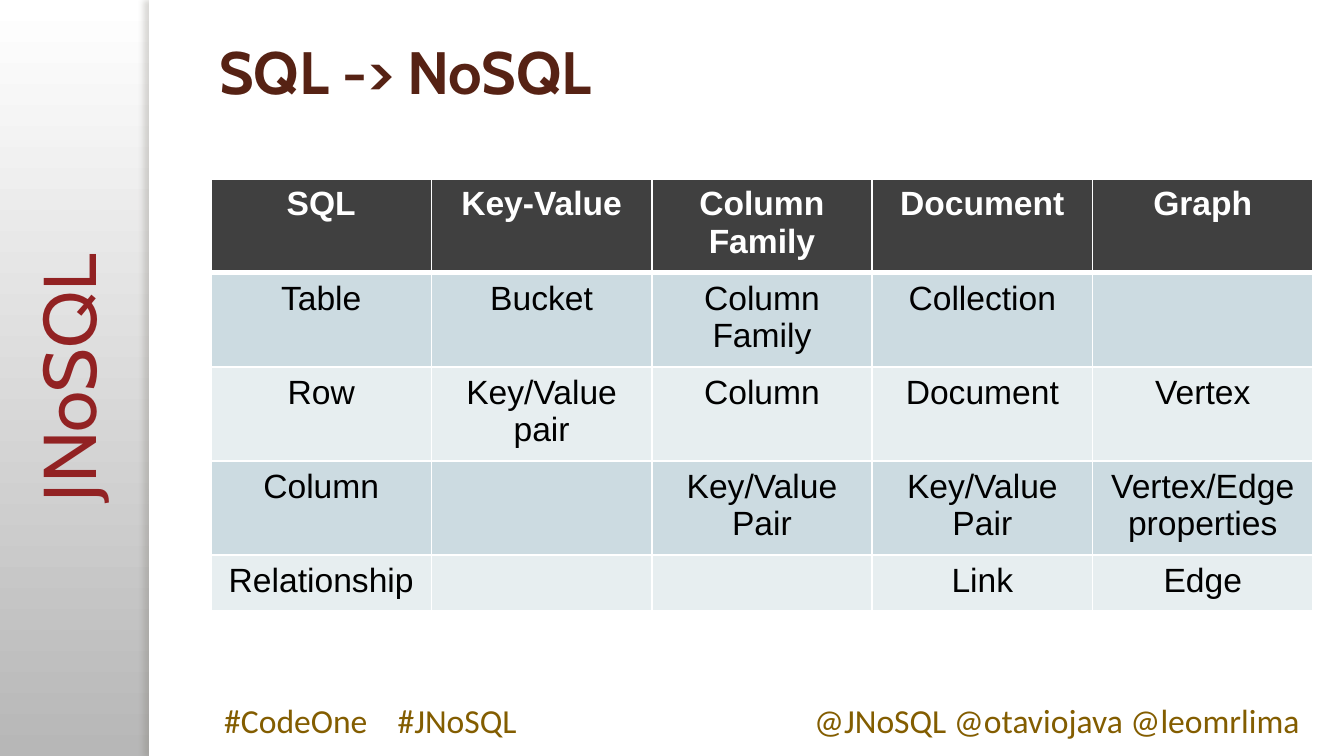
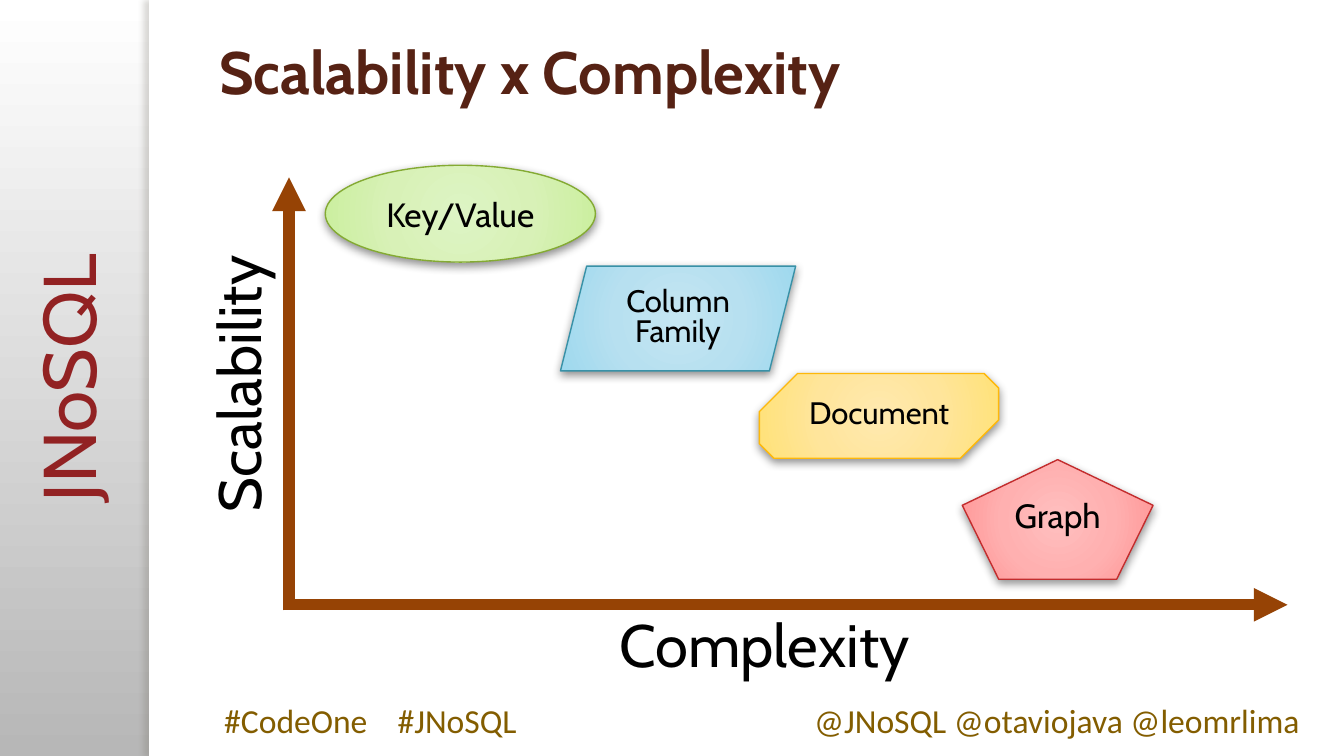
from dataclasses import dataclass

from lxml.etree import SubElement
from pptx import Presentation
from pptx.dml.color import RGBColor
from pptx.enum.shapes import MSO_CONNECTOR, MSO_SHAPE
from pptx.enum.text import MSO_ANCHOR, PP_ALIGN
from pptx.oxml import parse_xml
from pptx.oxml.ns import nsdecls, qn
from pptx.util import Inches, Pt


@dataclass(frozen=True)
class Theme:
    heading: str = "Cabin"
    footer: str = "Calibri"
    table: str = "Arial"
    white: str = "FFFFFF"
    black: str = "000000"
    backdrop_end: str = "B7B7B7"
    band_shadow: str = "6F6A5F"
    brand: str = "922223"
    footer_ink: str = "835D00"
    title_ink: str = "562214"
    axis: str = "964305"
    header_fill: str = "404040"
    stripes: tuple = ("CCDBE1", "E7EEF0")
    brand_size: float = 40
    title_size: float = 32
    body_size: float = 18
    small_size: float = 16.6


THEME = Theme()

WIDTH, HEIGHT = 10, 10 * 9 / 16
BAND = 1.11
LEFT, CONTENT_WIDTH = 1.57, 8.2
FOOTER_TOP, FOOTER_HEIGHT = 5.16, 0.4

BRAND = "JNoSQL"
HASHTAGS = ("#CodeOne", "#JNoSQL")
HASHTAG_STEP = 1.29
HANDLES = ("@JNoSQL", "@otaviojava", "@leomrlima")

MAPPING_TITLE = "SQL -> NoSQL"
MAPPING = [
    ("SQL", "Key-Value", "Column Family", "Document", "Graph"),
    ("Table", "Bucket", "Column Family", "Collection", ""),
    ("Row", "Key/Value pair", "Column", "Document", "Vertex"),
    ("Column", "", "Key/Value Pair", "Key/Value Pair", "Vertex/Edge properties"),
    ("Relationship", "", "", "Link", "Edge"),
]
MAPPING_TOP, MAPPING_HEIGHT, ROW_HEIGHT = 1.33, 3.21, 0.41

TRADEOFF_TITLE = "Scalability x Complexity"
ORIGIN = (2.15, 4.5)
SCALABILITY_END, COMPLEXITY_END = 1.32, 9.58
AXIS_POINTS = 6
AXIS_LABELS = [
    ("Scalability", (0.65, 2.47, 2.24, 0.64), 270),
    ("Complexity", (4.51, 4.47, 2.58, 0.64), 0),
]
STOPS = (0, 50, 97, 100)
FAMILIES = [
    dict(label="Key/Value", kind=MSO_SHAPE.OVAL, at=(2.42, 1.23, 2.01, 0.72),
         tints=("DDF4C4", "D8F1B7", "CBEF9F", "CBF194"), edge="84AA33"),
    dict(label="Document", kind=MSO_SHAPE.SNIP_2_DIAG_RECTANGLE,
         at=(5.65, 2.78, 1.78, 0.63), adjust=(0.45, 0.17), compact=True,
         tints=("FFE9AF", "FFE59B", "FFE27A", "FFE26B"), edge="FEB80A"),
    dict(label="Column Family", kind=MSO_SHAPE.PARALLELOGRAM,
         at=(4.17, 1.98, 1.75, 0.78), adjust=(0.25,), compact=True,
         tints=("C5E6F2", "B7E0F0", "A0D9EE", "97D6EF"), edge="3891A7"),
    dict(label="Graph", kind=MSO_SHAPE.REGULAR_PENTAGON,
         at=(7.16, 3.42, 1.42, 0.89), anchor=MSO_ANCHOR.TOP,
         tints=("FFBFBF", "FFB0B0", "FF9494", "FF8989"), edge="C32D2E"),
]


def rgb(value):
    return RGBColor.from_string(value)


def place(at):
    return [Inches(length) for length in at]


def write(frame, text, font, size, color, bold=False, align=PP_ALIGN.LEFT):
    frame.text = text
    frame.word_wrap = True
    paragraph = frame.paragraphs[0]
    paragraph.alignment = align
    for run in paragraph.runs:
        run.font.name = font
        run.font.size = Pt(size)
        run.font.bold = bold
        run.font.color.rgb = rgb(color)
    return paragraph


def add_text(slide, at, text, font, size, color, rotation=0, **style):
    box = slide.shapes.add_textbox(*place(at))
    box.rotation = rotation
    write(box.text_frame, text, font, size, color, **style)
    return box


def cast_shadow(shape, color, opacity, blur, distance, angle):
    shape.shadow.inherit = False
    effects = shape.element.spPr.find(qn("a:effectLst"))
    effects.append(parse_xml(
        f'<a:outerShdw {nsdecls("a")} blurRad="{Pt(blur)}" dist="{Pt(distance)}" '
        f'dir="{angle * 60000}" algn="ctr" rotWithShape="0"><a:srgbClr val="{color}">'
        f'<a:alpha val="{opacity * 1000}"/></a:srgbClr></a:outerShdw>'))


def fill_radial(shape, tints):
    shape.fill.gradient()
    properties = shape.element.spPr
    stops = "".join(
        f'<a:gs pos="{stop * 1000}"><a:srgbClr val="{tint}"/></a:gs>'
        for stop, tint in zip(STOPS, tints))
    properties.replace(properties.find(qn("a:gradFill")), parse_xml(
        f'<a:gradFill {nsdecls("a")} rotWithShape="1"><a:gsLst>{stops}</a:gsLst>'
        '<a:path path="circle"><a:fillToRect l="50000" t="50000" r="50000" b="50000"/>'
        '</a:path></a:gradFill>'))


def add_panel(slide, width):
    panel = slide.shapes.add_shape(
        MSO_SHAPE.RECTANGLE, *place((BAND, 0, width, HEIGHT)))
    panel.fill.solid()
    panel.fill.fore_color.rgb = rgb(THEME.white)
    panel.line.fill.background()
    panel.shadow.inherit = False
    return panel


def add_base(deck, title):
    slide = deck.slides.add_slide(deck.slide_layouts[6])
    backdrop = slide.background.fill
    backdrop.gradient()
    backdrop.gradient_angle = 270
    for stop, color in zip(backdrop.gradient_stops, (THEME.white, THEME.backdrop_end)):
        stop.color.rgb = rgb(color)

    add_panel(slide, WIDTH - BAND)
    cast_shadow(add_panel(slide, 0.08), THEME.band_shadow, 25, 3, 3, 180)
    add_text(slide, (-1, 2.43, 2.99, 0.77), BRAND, THEME.heading, THEME.brand_size,
             THEME.brand, rotation=270, align=PP_ALIGN.CENTER)

    footer_style = (THEME.footer, THEME.body_size, THEME.footer_ink)
    hashtags = add_text(slide, (LEFT, FOOTER_TOP, 3, FOOTER_HEIGHT),
                        "\t".join(HASHTAGS), *footer_style)
    tabs = SubElement(hashtags.text_frame.paragraphs[0]._p.get_or_add_pPr(),
                      qn("a:tabLst"))
    SubElement(tabs, qn("a:tab"), pos=str(Inches(HASHTAG_STEP)), algn="l")
    add_text(slide, (3.84, FOOTER_TOP, 5.93, FOOTER_HEIGHT), " ".join(HANDLES),
             *footer_style, align=PP_ALIGN.RIGHT)

    heading = add_text(slide, (LEFT, 0.23, CONTENT_WIDTH, 0.94), title, THEME.heading,
                       THEME.title_size, THEME.title_ink, bold=True).text_frame
    heading.margin_left = heading.margin_right = Inches(0.06)
    heading.margin_top = heading.margin_bottom = Inches(0.03)
    return slide


def set_borders(cell, row):
    widths = {"L": 1, "R": 1, "T": 3 if row == 1 else 1, "B": 3 if row == 0 else 1}
    properties = cell._tc.get_or_add_tcPr()
    for index, (side, width) in enumerate(widths.items()):
        properties.insert(index, parse_xml(
            f'<a:ln{side} {nsdecls("a")} w="{Pt(width)}"><a:solidFill>'
            f'<a:srgbClr val="{THEME.white}"/></a:solidFill></a:ln{side}>'))


def add_mapping(slide):
    frame = slide.shapes.add_table(
        len(MAPPING), len(MAPPING[0]),
        *place((LEFT, MAPPING_TOP, CONTENT_WIDTH, MAPPING_HEIGHT)))
    for r, terms in enumerate(MAPPING):
        header = r == 0
        frame.table.rows[r].height = Inches(ROW_HEIGHT)
        for c, term in enumerate(terms):
            cell = frame.table.cell(r, c)
            cell.fill.solid()
            cell.fill.fore_color.rgb = rgb(
                THEME.header_fill if header else THEME.stripes[(r - 1) % 2])
            set_borders(cell, r)
            if term:
                write(cell.text_frame, term, THEME.table, THEME.body_size,
                      THEME.white if header else THEME.black,
                      bold=header, align=PP_ALIGN.CENTER)
    frame.height = Inches(MAPPING_HEIGHT)


def add_axis(slide, start, end):
    axis = slide.shapes.add_connector(MSO_CONNECTOR.STRAIGHT, *place(start + end))
    axis.line.color.rgb = rgb(THEME.axis)
    axis.line.width = Pt(AXIS_POINTS)
    SubElement(axis.line._get_or_add_ln(), qn("a:tailEnd"), type="triangle")
    SubElement(axis.element.spPr, qn("a:effectLst"))


def add_family(slide, label, kind, at, tints, edge, adjust=(), compact=False,
               anchor=MSO_ANCHOR.MIDDLE):
    family = slide.shapes.add_shape(kind, *place(at))
    for index, value in enumerate(adjust):
        family.adjustments[index] = value
    fill_radial(family, tints)
    family.line.color.rgb = rgb(edge)
    family.line.width = Pt(0.75)
    cast_shadow(family, THEME.black, 43, 5, 2, 90)
    family.text_frame.vertical_anchor = anchor
    paragraph = write(family.text_frame, label, THEME.heading,
                      THEME.small_size if compact else THEME.body_size,
                      THEME.black, align=PP_ALIGN.CENTER)
    if compact:
        paragraph.line_spacing = 0.8


def add_tradeoff(slide):
    x, y = ORIGIN
    overlap = AXIS_POINTS / 72 / 2
    add_axis(slide, (x, y + overlap), (x, SCALABILITY_END))
    add_axis(slide, (x - overlap, y), (COMPLEXITY_END, y))
    for label, at, rotation in AXIS_LABELS:
        add_text(slide, at, label, THEME.heading, THEME.title_size, THEME.black,
                 rotation=rotation)
    for family in FAMILIES:
        add_family(slide, **family)


def main():
    deck = Presentation()
    deck.slide_width, deck.slide_height = Inches(WIDTH), Inches(HEIGHT)
    add_mapping(add_base(deck, MAPPING_TITLE))
    add_tradeoff(add_base(deck, TRADEOFF_TITLE))
    deck.save("out.pptx")


if __name__ == "__main__":
    main()
